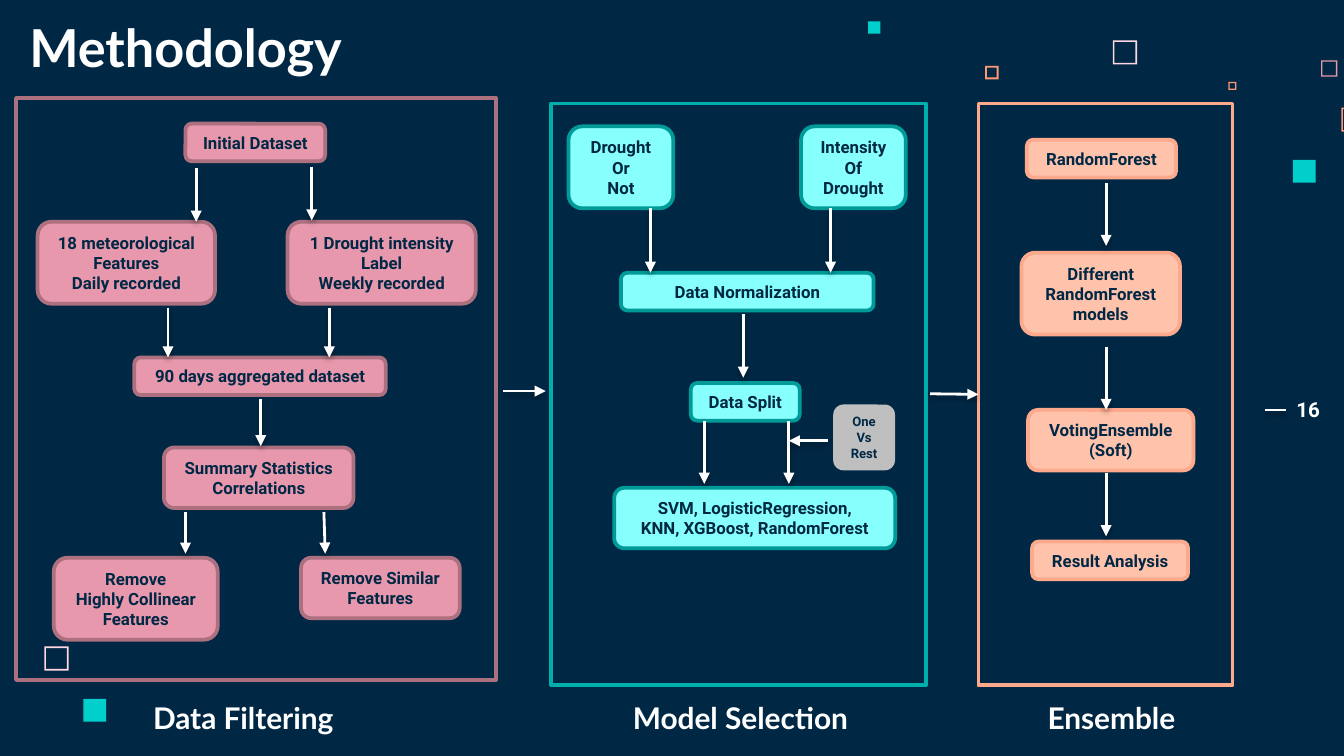
from dataclasses import dataclass
from typing import Optional
from lxml.etree import SubElement
from pptx import Presentation
from pptx.dml.color import RGBColor
from pptx.enum.shapes import MSO_CONNECTOR, MSO_SHAPE
from pptx.enum.text import MSO_ANCHOR, MSO_AUTO_SIZE, PP_ALIGN
from pptx.oxml.ns import qn
from pptx.util import Pt

PX = 9144

NAVY = RGBColor(0x00, 0x28, 0x45)
WHITE = RGBColor(0xFF, 0xFF, 0xFF)
PINK = RGBColor(0xE8, 0x98, 0xAC)
ROSE = RGBColor(0xAC, 0x70, 0x7F)
BLUSH = RGBColor(0xFF, 0xD6, 0xE1)
CORAL = RGBColor(0xFF, 0x99, 0x73)
TEAL = RGBColor(0x00, 0xCF, 0xCC)
AQUA = RGBColor(0x86, 0xFF, 0xFD)
PINE = RGBColor(0x00, 0x9B, 0x99)
SEA = RGBColor(0x00, 0xAE, 0xAC)
PEACH = RGBColor(0xFF, 0xC2, 0xAB)
SALMON = RGBColor(0xFD, 0xAA, 0x8C)
GREY = RGBColor(0xBF, 0xBF, 0xBF)


@dataclass
class Square:
    left: int
    top: int
    side: int
    color: RGBColor
    ring: float = 0


@dataclass
class Box:
    left: int
    top: int
    width: int
    height: int
    text: str
    fill: RGBColor
    edge: Optional[RGBColor]
    size: int = 9
    wrap: bool = False


@dataclass
class Frame:
    left: int
    top: int
    width: int
    edge: RGBColor


@dataclass
class Arrow:
    x: int
    y: int
    tipx: int
    tipy: int
    head: bool = True


@dataclass
class Label:
    left: int
    top: int
    width: int
    height: int
    text: str
    font: str
    size: int
    align: PP_ALIGN
    anchor: MSO_ANCHOR = MSO_ANCHOR.BOTTOM


SQUARES = [
    Square(828, 30, 18, BLUSH, 0.07), Square(983, 45, 12, PINK, 0.08),
    Square(914, 61, 6, CORAL, 0.15), Square(998, 80, 18, CORAL, 0.07),
    Square(962, 119, 17, TEAL), Square(733, 49, 10, CORAL, 0.14),
    Square(646, 16, 9, TEAL), Square(33, 481, 18, BLUSH, 0.07),
    Square(62, 520, 17, TEAL),
]
BOXES = [
    Box(138, 92, 104, 28, "Initial Dataset", PINK, ROSE),
    Box(28, 165, 132, 61, "18 meteorological\nFeatures\nDaily recorded", PINK, ROSE),
    Box(214, 165, 140, 61, "1 Drought intensity\nLabel\nWeekly recorded", PINK, ROSE),
    Box(100, 266, 187, 28, "90 days aggregated dataset", PINK, ROSE),
    Box(122, 333, 141, 45, "Summary Statistics\nCorrelations", PINK, ROSE),
    Box(40, 415, 122, 61, "Remove\nHighly Collinear\nFeatures", PINK, ROSE),
    Box(224, 415, 118, 45, "Remove Similar\nFeatures", PINK, ROSE),
    Box(423, 94, 78, 61, "Drought\nOr\nNot", AQUA, PINE),
    Box(596, 94, 78, 61, "Intensity\nOf\nDrought", AQUA, PINE),
    Box(462, 203, 188, 28, "Data Normalization", AQUA, PINE, wrap=True),
    Box(514, 285, 81, 28, "Data Split", AQUA, PINE),
    Box(457, 363, 209, 45, "SVM, LogisticRegression,\nKNN, XGBoost, RandomForest", AQUA, PINE),
    Box(764, 104, 111, 28, "RandomForest", PEACH, SALMON),
    Box(760, 188, 118, 61, "Different\nRandomForest\nmodels", PEACH, SALMON),
    Box(768, 403, 116, 28, "Result Analysis", PEACH, SALMON),
    Box(765, 305, 123, 45, "VotingEnsemble\n(Soft)", PEACH, SALMON),
    Box(620, 301, 46, 49, "One\nVs\nRest", GREY, None, 7),
]
FRAMES = [Frame(12, 73, 357, ROSE), Frame(410, 77, 279, SEA), Frame(728, 77, 189, SALMON)]
ARROWS = [
    Arrow(146, 125, 146, 165), Arrow(232, 124, 232, 164),
    Arrow(125, 229, 125, 266), Arrow(245, 229, 245, 266),
    Arrow(194, 297, 194, 332), Arrow(138, 381, 138, 412), Arrow(241, 381, 242, 412),
    Arrow(484, 155, 484, 203), Arrow(618, 155, 618, 203),
    Arrow(553, 234, 553, 281), Arrow(524, 313, 524, 360), Arrow(587, 313, 587, 360),
    Arrow(823, 136, 823, 183), Arrow(823, 258, 823, 305), Arrow(823, 352, 823, 399),
    Arrow(374, 291, 406, 291), Arrow(616, 328, 587, 328),
    Arrow(941, 305, 957, 305, head=False),
]
LINK = Arrow(692, 293, 728, 293)
LABELS = [
    Label(933, 289, 59, 31, "16", "Roboto", 11, PP_ALIGN.RIGHT, MSO_ANCHOR.MIDDLE),
    Label(12, 13, 291, 55, "Methodology", "Lato", 28, PP_ALIGN.LEFT),
] + [
    Label(left, 517, 228, 40, text, "Lato", 16, PP_ALIGN.CENTER)
    for left, text in ((67, "Data Filtering"), (437, "Model Selection"), (713, "Ensemble"))
]


def scale(*sizes: int) -> list[int]:
    return [size * PX for size in sizes]


def write(frame, text: str, align: PP_ALIGN, color: RGBColor, look: dict) -> None:
    frame.text = text
    for para in frame.paragraphs:
        para.alignment = align
        font = para.runs[0].font
        for key, value in look.items():
            setattr(font, key, value)
        font.color.rgb = color


def paint(shape, fill: Optional[RGBColor], edge: Optional[RGBColor]) -> None:
    shape.shadow.inherit = False
    if fill is None:
        shape.fill.background()
    else:
        shape.fill.solid()
        shape.fill.fore_color.rgb = fill
    if edge is None:
        shape.line.fill.background()
    else:
        shape.line.color.rgb = edge
        shape.line.width = Pt(2)


def add_square(shapes, item: Square) -> None:
    kind = MSO_SHAPE.FRAME if item.ring else MSO_SHAPE.RECTANGLE
    shape = shapes.add_shape(kind, *scale(item.left, item.top, item.side, item.side))
    if item.ring:
        shape.adjustments[0] = item.ring
    paint(shape, item.color, None)


def add_box(shapes, item: Box) -> None:
    shape = shapes.add_shape(MSO_SHAPE.ROUNDED_RECTANGLE,
                             *scale(item.left, item.top, item.width, item.height))
    paint(shape, item.fill, item.edge)
    look = {"name": "Roboto", "size": Pt(item.size), "bold": True}
    write(shape.text_frame, item.text, PP_ALIGN.CENTER, NAVY, look)
    shape.text_frame.word_wrap = item.wrap
    shape.text_frame.auto_size = MSO_AUTO_SIZE.SHAPE_TO_FIT_TEXT


def add_frame(shapes, item: Frame):
    shape = shapes.add_shape(MSO_SHAPE.RECTANGLE, *scale(item.left, item.top, item.width, 433))
    paint(shape, None, item.edge)
    return shape


def add_arrow(shapes, item: Arrow):
    line = shapes.add_connector(MSO_CONNECTOR.STRAIGHT,
                                *scale(item.x, item.y, item.tipx, item.tipy))
    line.line.color.rgb = WHITE
    line.line.width = Pt(1.5)
    if item.head:
        SubElement(line.line._get_or_add_ln(), qn("a:tailEnd"), type="triangle")
    effect = SubElement(line._element.spPr, qn("a:effectLst"))
    shade = SubElement(effect, qn("a:outerShdw"), blurRad=str(Pt(3.1)), dist=str(Pt(1.8)),
                       dir="5400000", rotWithShape="0")
    black = SubElement(shade, qn("a:srgbClr"), val="000000")
    SubElement(black, qn("a:alpha"), val="35000")
    return line


def add_label(shapes, item: Label) -> None:
    box = shapes.add_textbox(*scale(item.left, item.top, item.width, item.height))
    frame = box.text_frame
    look = {"name": item.font, "size": Pt(item.size), "bold": True}
    write(frame, item.text, item.align, WHITE, look)
    pad = 10 * PX
    form = {"word_wrap": True, "vertical_anchor": item.anchor, "margin_left": pad,
            "margin_right": pad, "margin_top": pad, "margin_bottom": pad}
    for key, value in form.items():
        setattr(frame, key, value)


def main() -> None:
    deck = Presentation()
    deck.slide_width, deck.slide_height = 1000 * PX, 1125 * PX // 2
    slide = deck.slides.add_slide(deck.slide_layouts[6])
    slide.background.fill.solid()
    slide.background.fill.fore_color.rgb = NAVY
    shapes = slide.shapes
    for square in SQUARES:
        add_square(shapes, square)
    for box in BOXES:
        add_box(shapes, box)
    panels = [add_frame(shapes, frame) for frame in FRAMES]
    for arrow in ARROWS:
        add_arrow(shapes, arrow)
    add_arrow(shapes, LINK).end_connect(panels[-1], 1)
    for label in LABELS:
        add_label(shapes, label)
    deck.save("out.pptx")


if __name__ == "__main__":
    main()
